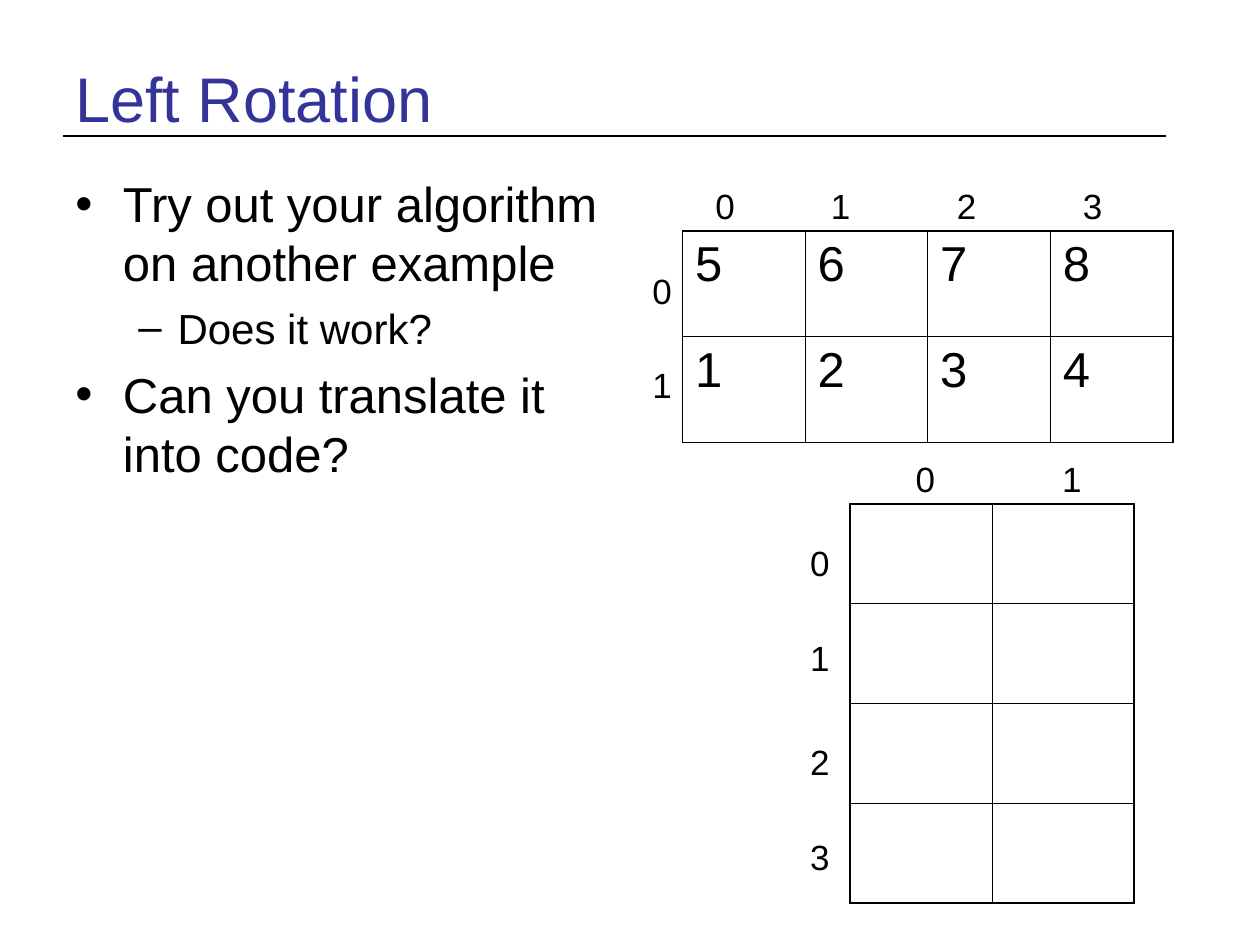
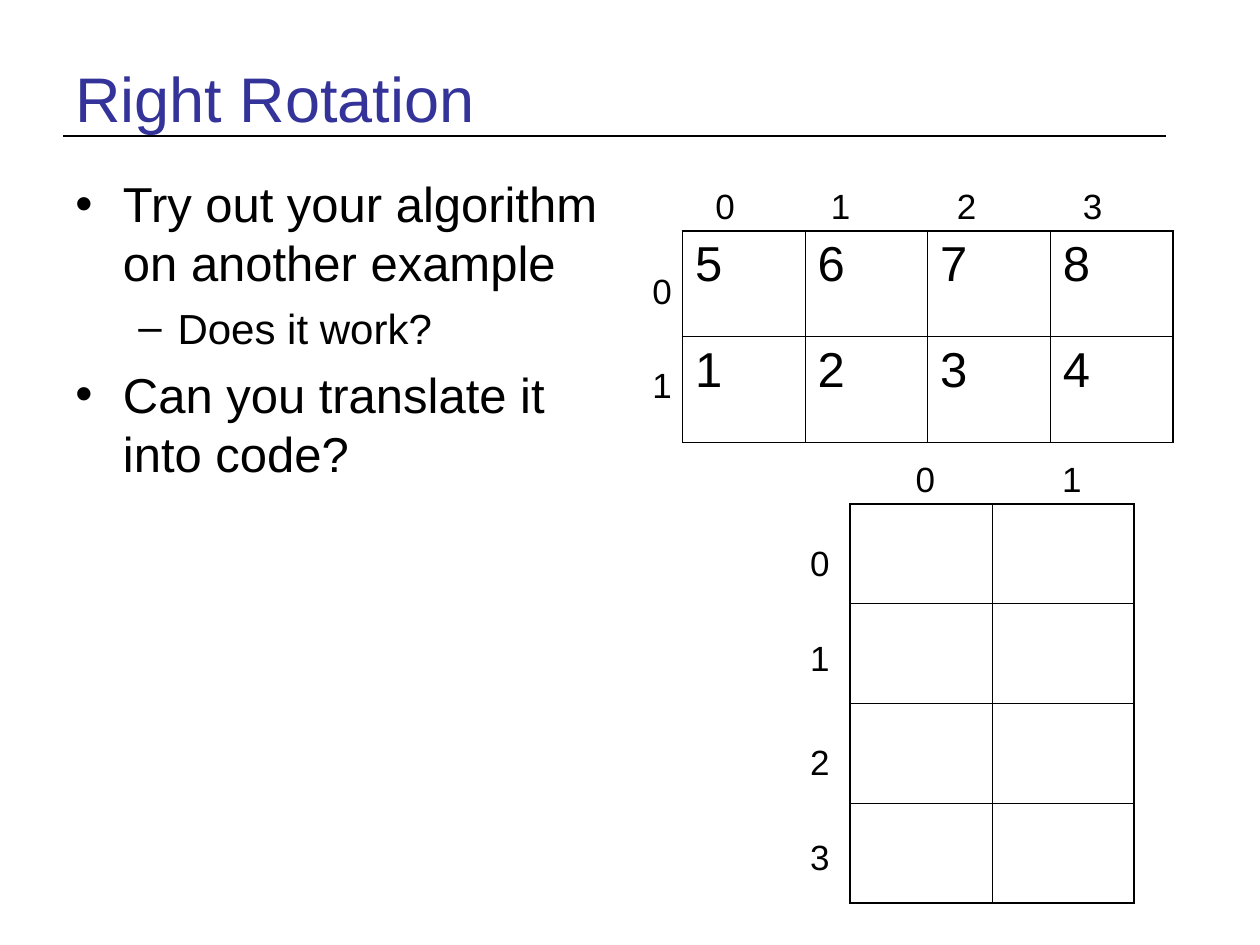
from lxml.etree import SubElement
from pptx import Presentation
from pptx.dml.color import RGBColor
from pptx.enum.shapes import MSO_CONNECTOR
from pptx.enum.text import MSO_ANCHOR, MSO_AUTO_SIZE
from pptx.oxml.ns import qn
from pptx.util import Cm, Pt

BLACK = RGBColor(0x00, 0x00, 0x00)
INDIGO = RGBColor(0x33, 0x33, 0x99)
FONT = "Arial"
OUTER, INNER = Pt(1.08), Pt(0.45)

# Boxes are left, top, width, height in cm
TITLE_BOX = (1.27, 0.76, 22.86, 2.41)
RULE = (1.27, 2.74, 23.5, 2.74)
BODY_BOX = (1.27, 3.38, 11.23, 13.64)
SOURCE_BOX = (13.76, 4.66, 9.88, 4.26)
ROTATED_BOX = (17.14, 10.16, 5.72, 8.04)
LABEL_W, LABEL_H, LABEL_RISE = 1.27, 1.12, 1.06

LEVELS = [
    {"bullet": "•", "left": 0.96, "hang": 0.96, "size": 28, "before": 7},
    {"bullet": "–", "left": 2.06, "hang": 0.79, "size": 24, "before": 6},
]
TITLES = ["Left Rotation", "Right Rotation"]
POINTS = [
    (0, "Try out your algorithm on another example"),
    (1, "Does it work?"),
    (0, "Can you translate it into code?"),
]
SOURCE_VALUES = [[5, 6, 7, 8], [1, 2, 3, 4]]
ROTATED_VALUES = [["", ""]] * 4

# Label offsets from the grid's top left corner, in cm
SOURCE_LABELS = {"cols": [0.41, 2.74, 5.28, 7.82], "rows": [0.64, 2.54], "row_x": -0.86}
ROTATED_LABELS = {"cols": [1.07, 4.02], "rows": [0.64, 2.54, 4.65, 6.56], "row_x": -1.06}


def write(p, text, size, color=BLACK, before=0):
    p.space_before = Pt(before)
    r = p.add_run()
    r.text = str(text)
    r.font.color.rgb = color
    for name, value in {"name": FONT, "size": Pt(size)}.items():
        setattr(r.font, name, value)


def add_text_frame(slide, box, **settings):
    tf = slide.shapes.add_textbox(*map(Cm, box)).text_frame
    tf.word_wrap = True
    for name, value in settings.items():
        setattr(tf, name, value)
    return tf


def add_header(slide, title, box, rule):
    line = slide.shapes.add_connector(MSO_CONNECTOR.STRAIGHT, *map(Cm, rule))
    line.line.color.rgb = BLACK
    line.line.width = Pt(1.5)
    SubElement(line._element.spPr, qn("a:effectLst"))
    tf = add_text_frame(slide, box, vertical_anchor=MSO_ANCHOR.MIDDLE)
    write(tf.paragraphs[0], title, 36, INDIGO)


def set_bullet(p, level):
    pPr = p._p.get_or_add_pPr()
    pPr.set("marL", str(Cm(level["left"])))
    pPr.set("indent", str(-Cm(level["hang"])))
    SubElement(pPr, qn("a:buFont"), typeface=FONT)
    SubElement(pPr, qn("a:buChar"), char=level["bullet"])


def add_points(slide, points, box):
    tf = add_text_frame(slide, box)
    for i, (depth, text) in enumerate(points):
        p = tf.add_paragraph() if i else tf.paragraphs[0]
        level = LEVELS[depth]
        p.level = depth
        write(p, text, level["size"], before=level["before"])
        set_bullet(p, level)


def set_borders(cell, widths):
    tcPr = cell._tc.get_or_add_tcPr()
    for side, width in widths.items():
        ln = SubElement(tcPr, qn(f"a:ln{side}"), w=str(width))
        fill = SubElement(ln, qn("a:solidFill"))
        SubElement(fill, qn("a:srgbClr"), val=str(BLACK))


def add_grid(slide, values, box):
    """Draw a table of values with a heavier outline."""
    n_rows, n_cols = len(values), len(values[0])
    table = slide.shapes.add_table(n_rows, n_cols, *map(Cm, box)).table
    table.first_row = table.horz_banding = False
    for i, row in enumerate(values):
        for j, value in enumerate(row):
            cell = table.cell(i, j)
            set_borders(cell, {
                "L": OUTER if j == 0 else INNER,
                "R": OUTER if j == n_cols - 1 else INNER,
                "T": OUTER if i == 0 else INNER,
                "B": OUTER if i == n_rows - 1 else INNER,
            })
            cell.fill.background()
            if value != "":
                write(cell.text_frame.paragraphs[0], value, 28, before=7)


def add_labels(slide, labels, box):
    """Number the columns above a grid and the rows to its left."""
    left, top = box[:2]
    col_spots = [(x, -LABEL_RISE) for x in labels["cols"]]
    row_spots = [(labels["row_x"], y) for y in labels["rows"]]
    for spots in (col_spots, row_spots):
        for index, (x, y) in enumerate(spots):
            tf = add_text_frame(slide, (left + x, top + y, LABEL_W, LABEL_H),
                                auto_size=MSO_AUTO_SIZE.SHAPE_TO_FIT_TEXT)
            write(tf.paragraphs[0], index, 20, before=12.5)


def add_rotation_slide(prs, title):
    slide = prs.slides.add_slide(prs.slide_layouts[6])
    add_header(slide, title, TITLE_BOX, RULE)
    add_points(slide, POINTS, BODY_BOX)
    for values, labels, box in (
        (SOURCE_VALUES, SOURCE_LABELS, SOURCE_BOX),
        (ROTATED_VALUES, ROTATED_LABELS, ROTATED_BOX),
    ):
        add_grid(slide, values, box)
        add_labels(slide, labels, box)


def main():
    prs = Presentation()
    prs.slide_width, prs.slide_height = Cm(25.4), Cm(19.05)
    for title in TITLES:
        add_rotation_slide(prs, title)
    prs.save("out.pptx")


if __name__ == "__main__":
    main()
